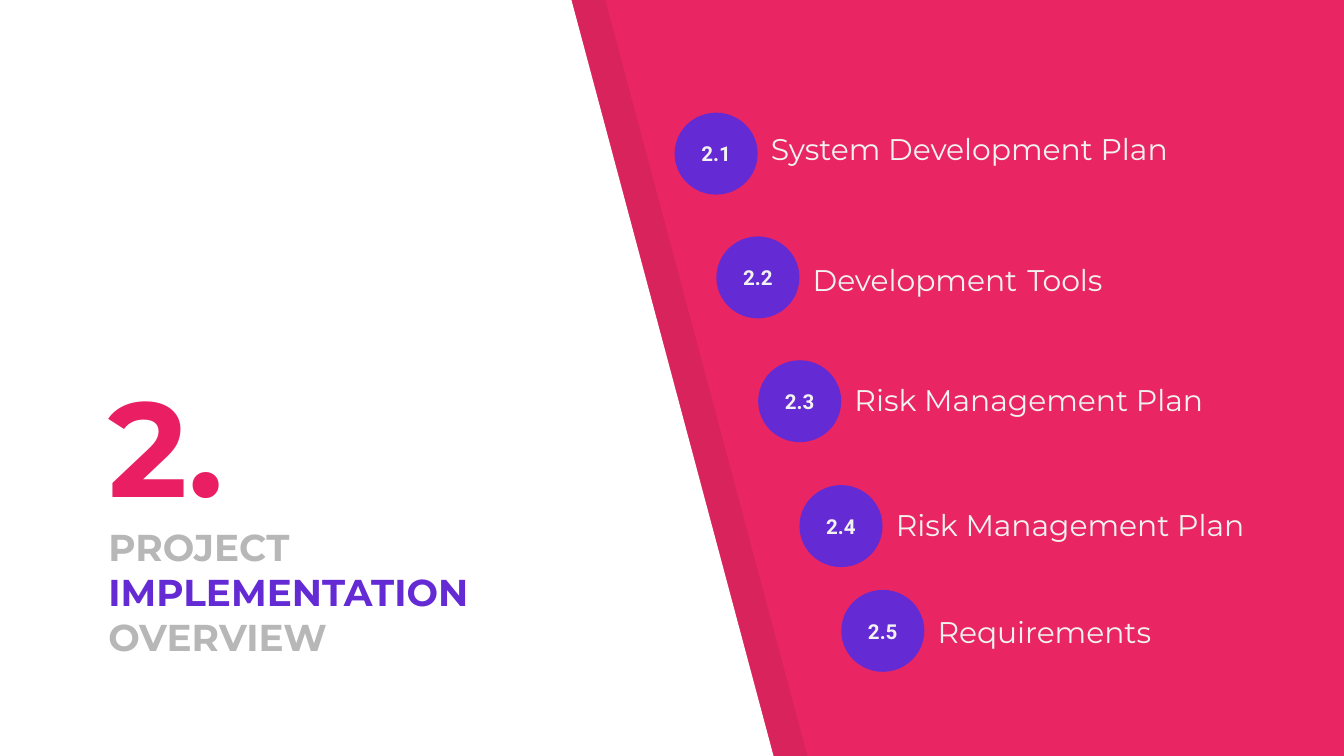
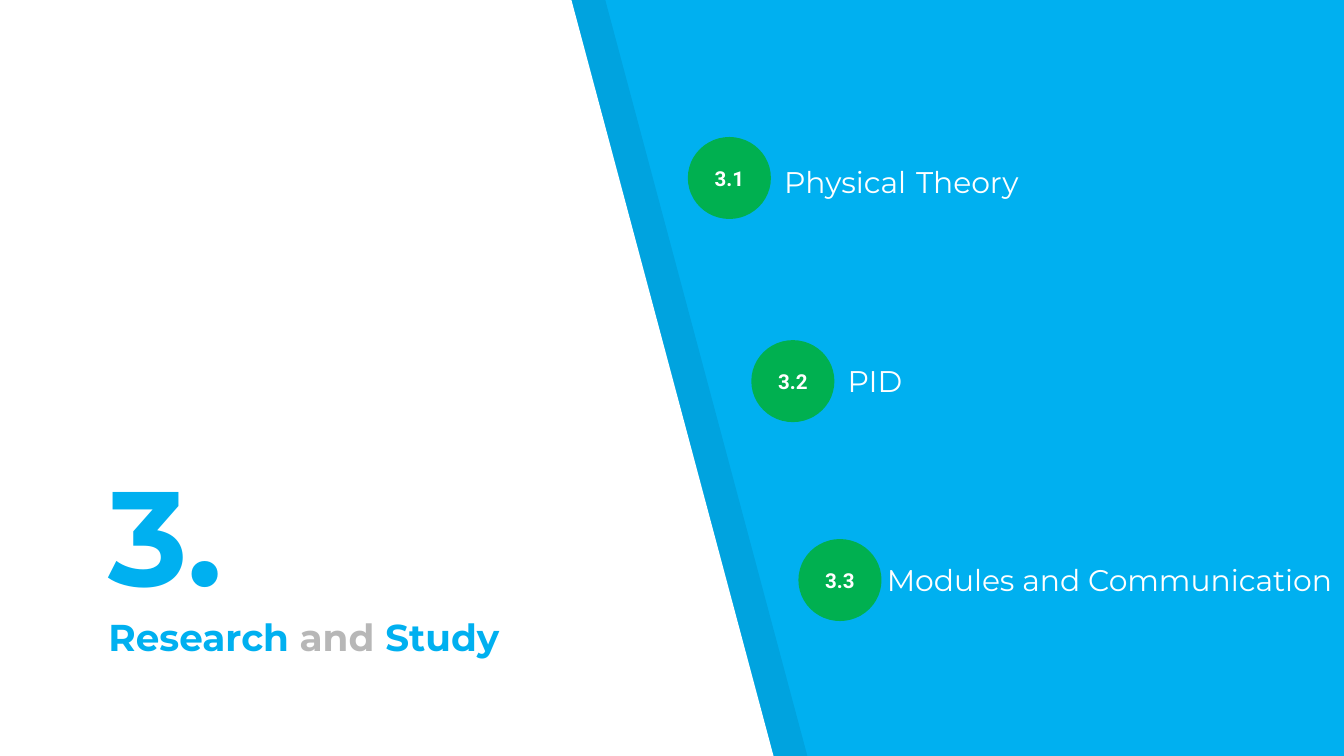
from pptx import Presentation
from pptx.dml.color import RGBColor
from pptx.enum.shapes import MSO_SHAPE
from pptx.enum.text import MSO_ANCHOR, PP_ALIGN
from pptx.oxml.ns import qn
from pptx.util import Cm, Pt
from lxml.etree import SubElement

GREY, WHITE, BLACK = "B7B7B7", "FFFFFF", "000000"
VIOLET, SKY = "642AD4", "00B0F0"
CIRCLE_W, CIRCLE_H = 1.57, 1.55

# Slanted panel outline (cm) and its layers: shift to the right, colour, opacity %
PANEL = [(0, -0.03), (-0.03, 14.33), (14.63, 14.33), (10.8, 0)]
LAYERS = [(0.64, BLACK, 7), (0, WHITE, 100)]

# Items: circle left and top, label gap, top, width and height, label words
SECTIONS = [
    {
        "number": "2", "background": "E92663", "number_color": "E91E63",
        "circle_color": VIOLET, "text_color": "F2F2F2",
        "title": [("PROJECT ", GREY), ("IMPLEMENTATION ", VIOLET), ("OVERVIEW", GREY)],
        "items": [
            (12.75, 2.13, 0, 2.34, 10.26, 0.94, ["System Development Plan"]),
            (13.54, 4.47, 0, 4.67, 8.71, 1.12, ["Development", " ", "Tools"]),
            (14.33, 6.81, 0, 7.09, 8.71, 0.94, ["Risk Management Plan"]),
            (15.11, 9.17, 0, 9.45, 8.71, 0.94, ["Risk Management Plan"]),
            (15.9, 11.15, 0, 11.46, 8.71, 0.94, ["Requirements"]),
        ],
    },
    {
        "number": "3", "background": SKY, "number_color": SKY,
        "circle_color": "00B050", "text_color": WHITE,
        "title": [("Research", SKY), (" and ", GREY), ("Study", SKY)],
        "items": [
            (13, 2.59, 0, 2.82, 5.31, 1.12, ["Physical", " ", "Theory"]),
            (14.2, 6.43, 0, 6.73, 1.8, 0.94, ["PID"]),
            (15.09, 10.19, -0.15, 10.49, 9.3, 0.94, ["Modules and Communication"]),
        ],
    },
]


def rgb(value):
    return RGBColor.from_string(value)


def add_run(p, text, size, color, font="Montserrat", bold=False):
    r = p.add_run()
    r.text = text
    r.font.name = font
    r.font.size = Pt(size)
    r.font.bold = bold
    r.font.color.rgb = rgb(color)


prs = Presentation()
prs.slide_width, prs.slide_height = Cm(25.4), Cm(14.29)

for section in SECTIONS:
    s = prs.slides.add_slide(prs.slide_layouts[6])
    s.background.fill.solid()
    s.background.fill.fore_color.rgb = rgb(section["background"])

    # White panel over its translucent edge
    for shift, color, opacity in LAYERS:
        points = [(Cm(x + shift), Cm(y)) for x, y in PANEL]
        builder = s.shapes.build_freeform(*points[0])
        builder.add_line_segments(points[1:], close=True)
        sp = builder.convert_to_shape()
        sp.shadow.inherit = False
        sp.line.fill.background()
        sp.fill.solid()
        sp.fill.fore_color.rgb = rgb(color)
        if opacity < 100:
            fill = sp.fill._xPr.find(qn("a:solidFill"))
            SubElement(fill[0], qn("a:alpha"), val=str(opacity * 1000))

    # Section number and title
    tf = s.shapes.add_textbox(Cm(1.8), Cm(4.39), Cm(9.78), Cm(8.31)).text_frame
    tf.word_wrap = True
    tf.vertical_anchor = MSO_ANCHOR.BOTTOM
    tf.margin_left = tf.margin_right = tf.margin_top = tf.margin_bottom = Cm(0.25)
    add_run(tf.paragraphs[0], section["number"] + ".", 72, section["number_color"], bold=True)
    p = tf.add_paragraph()
    for text, color in section["title"]:
        add_run(p, text, 20, color, bold=True)

    # Numbered circles, each grouped with its label
    for i, (x, y, gap, label_y, label_w, label_h, words) in enumerate(section["items"], 1):
        group = s.shapes.add_group_shape()
        sp = group.shapes.add_shape(MSO_SHAPE.OVAL, Cm(x), Cm(y), Cm(CIRCLE_W), Cm(CIRCLE_H))
        sp.shadow.inherit = False
        sp.line.fill.background()
        sp.fill.solid()
        sp.fill.fore_color.rgb = rgb(section["circle_color"])
        sp.text_frame.vertical_anchor = MSO_ANCHOR.MIDDLE
        p = sp.text_frame.paragraphs[0]
        p.alignment = PP_ALIGN.CENTER
        add_run(p, f"{section['number']}.{i}", 11, section["text_color"], "Roboto", True)

        tf = group.shapes.add_textbox(Cm(x + CIRCLE_W + gap), Cm(label_y),
                                      Cm(label_w), Cm(label_h)).text_frame
        tf.word_wrap = True
        tf.vertical_anchor = MSO_ANCHOR.MIDDLE
        for word in words:
            add_run(tf.paragraphs[0], word, 20 if word == " " else 16, section["text_color"])

prs.save("out.pptx")
